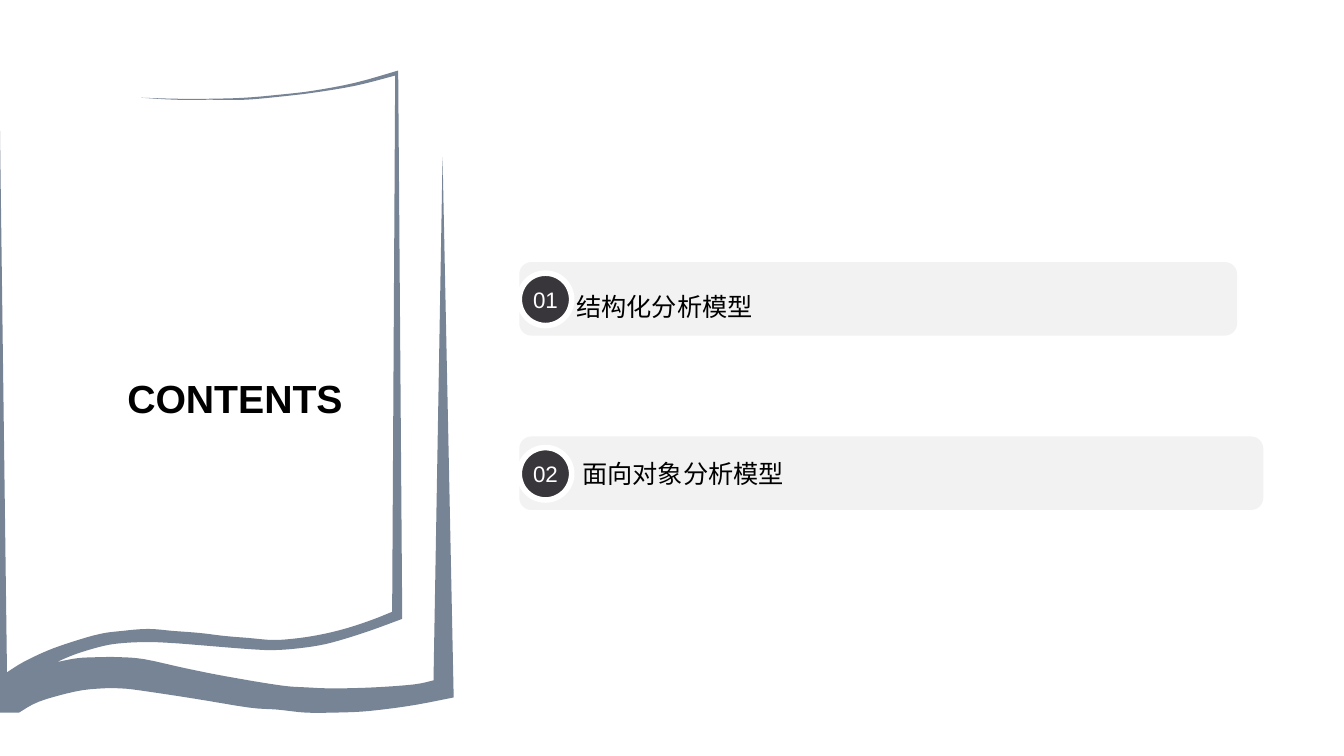
from pptx import Presentation
from pptx.dml.color import RGBColor
from pptx.enum import shapes, text
from pptx.oxml.ns import qn
from pptx.util import Inches, Pt

SLATE = RGBColor(0x77, 0x84, 0x95)
PALE = RGBColor(0xF2, 0xF2, 0xF2)
DARK = RGBColor(0x38, 0x35, 0x3B)
WHITE = RGBColor(0xFF, 0xFF, 0xFF)
BLACK = RGBColor(0, 0, 0)
LATIN, HAN = "Arial", "Noto Sans CJK SC"

BOOK = [
    [(1.4, .97), (1.75, .98), (2.09, .98), (2.43, .97), (2.77, .94),
     (3.11, .9), (3.53, .82), (3.95, .7)],
    [(3.99, 6.14), (3.72, 6.24), (3.48, 6.32), (3.23, 6.39), (2.98, 6.43),
     (2.72, 6.45), (2.47, 6.44), (1.97, 6.4), (1.71, 6.38), (1.47, 6.37),
     (1.22, 6.38), (1.02, 6.41), (.75, 6.49), (.56, 6.57)],
    [(.56, 6.57), (.77, 6.53), (.99, 6.52), (1.18, 6.52), (1.43, 6.54),
     (1.84, 6.63), (2.24, 6.71), (2.78, 6.8), (3.04, 6.82), (3.31, 6.83),
     (3.71, 6.82), (4.11, 6.79), (4.3, 6.75)],
    [(4.39, 1.56)],
    [(4.5, 6.92), (4.14, 6.99), (3.87, 7.03), (3.59, 7.06), (3.31, 7.07),
     (3.03, 7.07), (2.75, 7.04), (2.47, 7.02), (1.92, 6.93), (1.39, 6.85),
     (1.2, 6.83), (1.01, 6.83), (.75, 6.86), (.39, 6.96), (.19, 7.07)],
    [(0, 7.07)],
    [(0, 1.27)],
    [(.07, 6.67), (.23, 6.57), (.46, 6.46), (.71, 6.37), (.99, 6.29),
     (1.21, 6.26), (1.47, 6.24), (1.72, 6.26), (1.98, 6.28), (2.23, 6.31),
     (2.47, 6.33), (2.72, 6.35), (2.97, 6.33), (3.21, 6.29), (3.45, 6.23),
     (3.69, 6.15), (3.89, 6.07)],
    [(3.92, .75), (3.53, .85), (3.11, .92), (2.77, .96), (2.43, .99),
     (2.09, .99), (1.75, .99), (1.4, .97)],
]


def curve(pts, steps=4):
    """Return points along a smooth curve through pts."""
    out = [pts[0]]
    ends = [pts[0], *pts, pts[-1]]
    for a, b, c, d in zip(ends, ends[1:], ends[2:], ends[3:]):
        for i in range(1, steps + 1):
            t = i / steps
            out.append(tuple(
                q + t * (r - p) / 2 + t * t * (2 * p - 5 * q + 4 * r - s) / 2
                + t ** 3 * (3 * q - p - 3 * r + s) / 2
                for p, q, r, s in zip(a, b, c, d)))
    return out


def paint(shape, fill):
    """Give a shape a flat fill with no line or shadow."""
    shape.shadow.inherit = False
    shape.fill.solid()
    shape.fill.fore_color.rgb = fill
    shape.line.fill.background()


def write(shape, words, size, color, align, bold=False):
    """Write one run in the middle of a shape and return its paragraph."""
    frame = shape.text_frame
    frame.vertical_anchor = text.MSO_ANCHOR.MIDDLE
    para = frame.paragraphs[0]
    para.alignment = align
    run = para.add_run()
    run.text = words
    font = run.font
    font.name, font.size, font.bold = LATIN, Pt(size), bold
    font.color.rgb = color
    east = font._element.makeelement(qn("a:ea"), {"typeface": HAN})
    font._element.find(qn("a:latin")).addnext(east)
    return para


def book(slide):
    """Draw the open book outline."""
    pts = [(Inches(x), Inches(y)) for edge in BOOK for x, y in curve(edge)]
    pen = slide.shapes.build_freeform(*pts[0], scale=1.0)
    pen.add_line_segments(pts[1:], close=True)
    paint(pen.convert_to_shape(), SLATE)


def title(slide):
    """Add the heading on the book page."""
    box = slide.shapes.add_textbox(
        Inches(.94), Inches(3.64), Inches(2.78), Inches(.62))
    box.text_frame.word_wrap = False
    write(box, "CONTENTS", 28, BLACK, text.PP_ALIGN.CENTER, True)


def entry(slide, num, words, top, width, inset):
    """Add a numbered bar and return the paragraph of its label."""
    group = slide.shapes.add_group_shape()
    kind = shapes.MSO_SHAPE
    bar = group.shapes.add_shape(
        kind.ROUNDED_RECTANGLE, Inches(5.15), Inches(top),
        Inches(width), Inches(.73))
    paint(bar, PALE)
    bar.text_frame.margin_left = Inches(inset)
    para = write(bar, words, 18, BLACK, text.PP_ALIGN.LEFT)
    disc = group.shapes.add_shape(
        kind.OVAL, Inches(5.15), Inches(top + .11), Inches(.52), Inches(.52))
    paint(disc, DARK)
    disc.line.color.rgb = WHITE
    disc.line.width = Pt(4)
    disc.text_frame.word_wrap = False
    write(disc, num, 16, WHITE, text.PP_ALIGN.CENTER)
    return para


def main():
    """Build and save the contents slide."""
    deck = Presentation()
    deck.slide_width, deck.slide_height = Inches(13.33), Inches(7.5)
    slide = deck.slides.add_slide(deck.slide_layouts[6])
    book(slide)
    title(slide)
    para = entry(slide, "01", "结构化分析模型", 2.6, 7.12, .53)
    para.line_spacing = 1.5
    para.space_after = Pt(5.2)
    entry(slide, "02", "面向对象分析模型", 4.33, 7.38, .59)
    deck.save("out.pptx")


if __name__ == "__main__":
    main()
